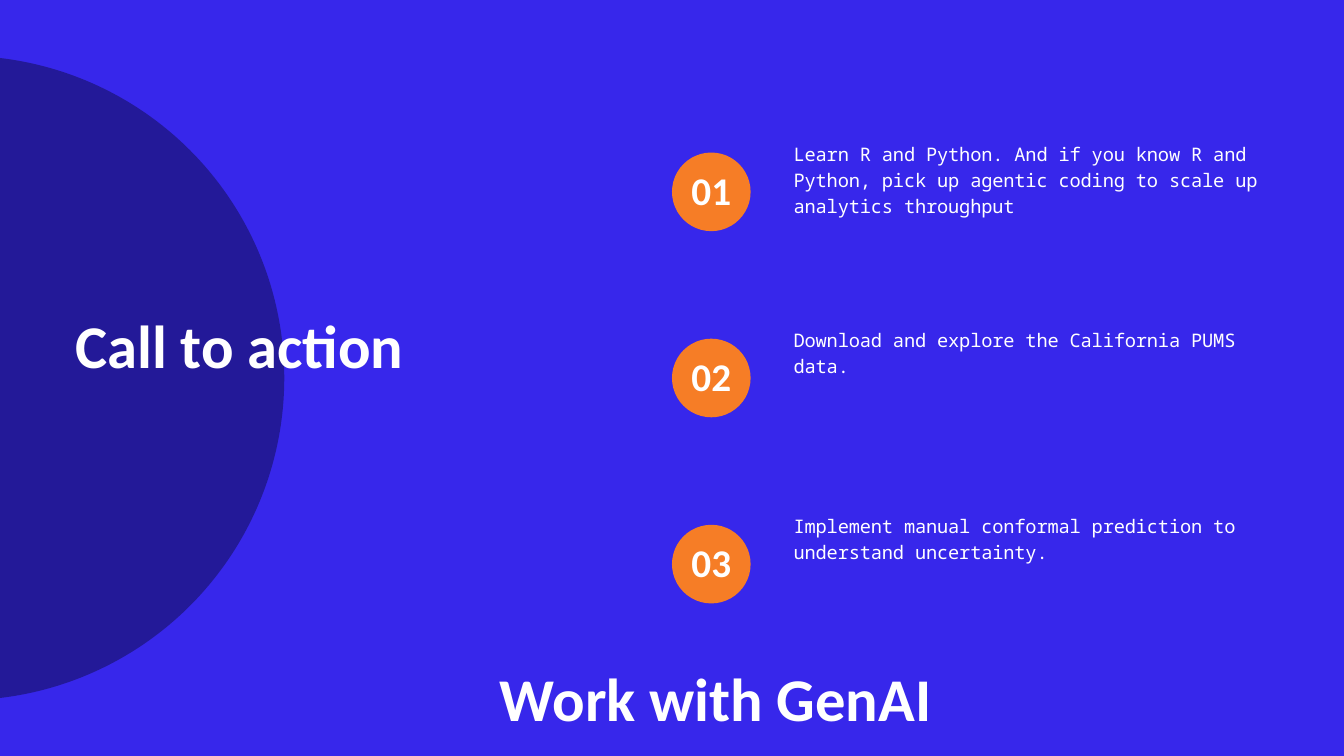
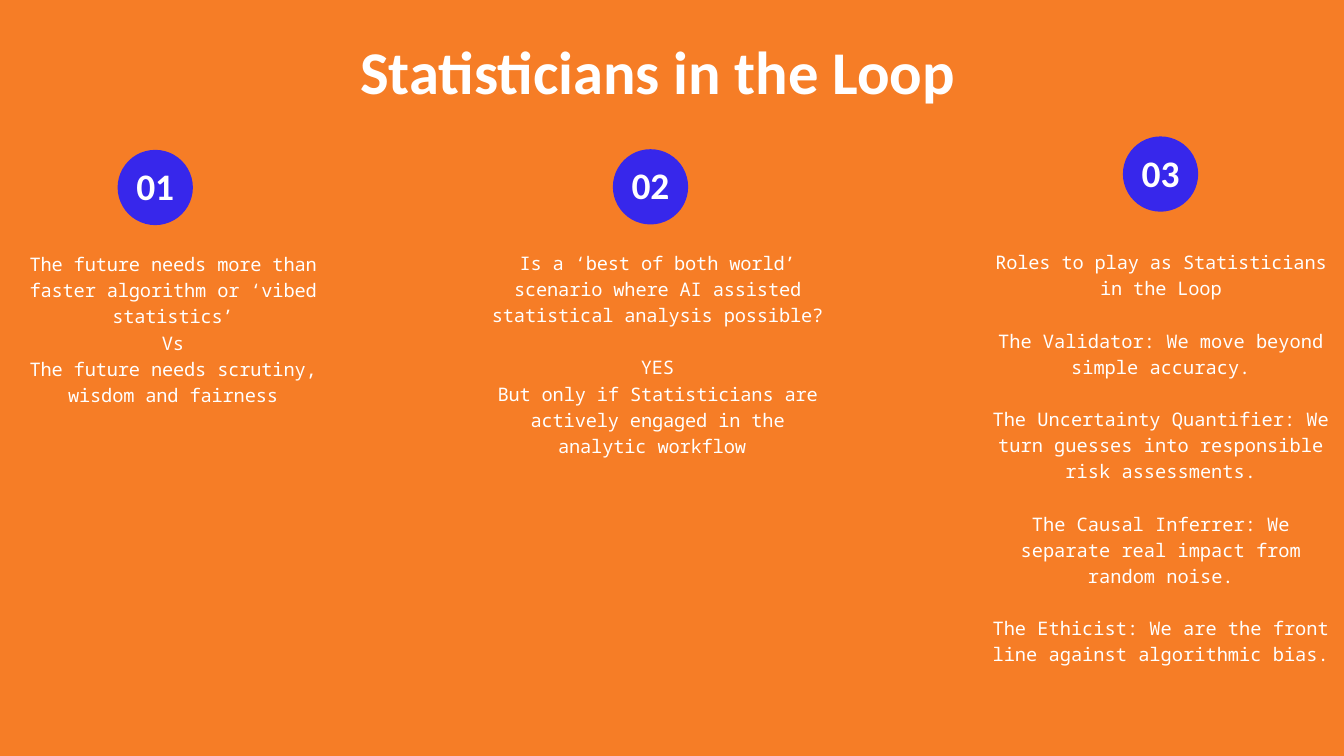
from dataclasses import dataclass
from typing import Any

import pptx
import pptx.dml.color
import pptx.enum.shapes
import pptx.enum.text
import pptx.oxml
import pptx.oxml.ns
import pptx.util

Inches = pptx.util.Inches
Pt = pptx.util.Pt
Align = pptx.enum.text.PP_ALIGN
Anchor = pptx.enum.text.MSO_ANCHOR

# Shared colours and text styles
BLUE = "3727EB"
ORANGE = "F67D26"
WHITE = "FFFFFF"
BLACK = "000000"


@dataclass(frozen=True)
class Style:
    font: str
    size: float
    line: float
    bold: bool = False


TITLE = Style("Calibri", 65, 71.5, True)
BODY = Style("Noto Sans Mono", 20, 28)


@dataclass(frozen=True)
class Para:
    text: str
    gap: float = 0
    tracking: float = -0.2


@dataclass(frozen=True)
class Column:
    number: str
    left: float
    top: float
    height: float
    badge_left: float
    badge_top: float
    paras: tuple[Para, ...]


ACTIONS = (
    "Learn R and Python. And if you know R and Python, "
    "pick up agentic coding to scale up analytics throughput",
    "Download and explore the California PUMS data.",
    "Implement manual conformal prediction to understand uncertainty.",
)

COLUMNS = (
    Column("01", 0, 3.71, 2.72, 1.75, 2.23, (
        Para("The future needs more than faster algorithm or ‘vibed statistics’"),
        Para("Vs"),
        Para("The future needs scrutiny, wisdom and fairness"),
    )),
    Column("02", 7.21, 3.69, 3.11, 9.12, 2.22, (
        Para("Is a ‘best of both world’ scenario where AI assisted "
             "statistical analysis possible?"),
        Para("YES", gap=28),
        Para("But only if Statisticians are actively engaged in the "
             "analytic workflow "),
    )),
    Column("03", 14.7, 3.68, 6.25, 16.71, 2.03, (
        Para("Roles to play as Statisticians in the Loop"),
        Para("The Validator: We move beyond simple accuracy.", 28, 0),
        Para("The Uncertainty Quantifier: We turn guesses into "
             "responsible risk assessments.", 28, 0),
        Para("The Causal Inferrer: We separate real impact from "
             "random noise.", 28, 0),
        Para("The Ethicist: We are the front line against "
             "algorithmic bias.", 28, 0),
    )),
)


def rgb(value: str) -> pptx.dml.color.RGBColor:
    return pptx.dml.color.RGBColor.from_string(value)


def place(shape: Any, left: float, top: float, width: float, height: float) -> None:
    shape.left, shape.top = Inches(left), Inches(top)
    shape.width, shape.height = Inches(width), Inches(height)


def write(shape: Any, paras: tuple[Para, ...], style: Style,
          align: Any = Align.LEFT, anchor: Any = Anchor.TOP) -> None:
    """Fill a shape with white text in one style."""
    tf = shape.text_frame
    tf.margin_left = tf.margin_right = tf.margin_top = tf.margin_bottom = 0
    tf.auto_size = pptx.enum.text.MSO_AUTO_SIZE.NONE
    tf.word_wrap = True
    tf.vertical_anchor = anchor
    tf.text = "\n".join(para.text for para in paras)
    for p, para in zip(tf.paragraphs, paras):
        p.alignment = align
        p.line_spacing = Pt(style.line)
        p.space_before = Pt(para.gap)
        r = p.runs[0]
        r.font.name = style.font
        r.font.size = Pt(style.size)
        r.font.bold = style.bold
        r.font.color.rgb = rgb(WHITE)
        if para.tracking:
            r.font._element.set("spc", str(round(para.tracking * 100)))


def add_text(s: Any, box: tuple[float, float, float, float],
             paras: tuple[Para, ...], style: Style, align: Any = Align.LEFT) -> None:
    tb = s.shapes.add_textbox(0, 0, 0, 0)
    place(tb, *box)
    write(tb, paras, style, align)


def add_circle(s: Any, left: float, top: float, size: float, color: str) -> Any:
    sp = s.shapes.add_shape(pptx.enum.shapes.MSO_SHAPE.OVAL, Inches(left),
                            Inches(top), Inches(size), Inches(size))
    sp.shadow.inherit = False
    sp.fill.solid()
    sp.fill.fore_color.rgb = rgb(color)
    sp.line.fill.background()
    return sp


def add_badge(s: Any, number: str, left: float, top: float, size: float,
              color: str, style: Style) -> None:
    sp = add_circle(s, left, top, size, color)
    write(sp, (Para(number, tracking=0),), style, Align.CENTER, Anchor.MIDDLE)


def add_slide(prs: Any, background: str, title: str,
              box: tuple[float, float, float, float], align: Any) -> Any:
    s = prs.slides.add_slide(prs.slide_layouts[5])
    s.background.fill.solid()
    s.background.fill.fore_color.rgb = rgb(background)
    place(s.shapes.title, *box)
    write(s.shapes.title, (Para(title, tracking=0),), TITLE, align)
    return s


def build_call_to_action(prs: Any) -> None:
    s = add_slide(prs, BLUE, "Call to action", (1.12, 4.67, 7.46, 1), Align.LEFT)

    # Translucent half circle behind the title
    disc = add_circle(s, -5.36, 0.83, 9.59, BLACK)
    color = disc._element.spPr.find(".//" + pptx.oxml.ns.qn("a:srgbClr"))
    color.append(pptx.oxml.parse_xml(
        f'<a:alpha {pptx.oxml.ns.nsdecls("a")} val="35000"/>'))
    s.shapes.title._element.addprevious(disc._element)

    # Numbered actions at an equal pitch
    number_style = Style("Calibri", 42, 46.1, True)
    for i, action in enumerate(ACTIONS):
        top = 2.07 + 2.77 * i
        add_badge(s, f"{i + 1:02}", 10, top + 0.2, 1.17, ORANGE, number_style)
        add_text(s, (11.81, top, 7.07, 1.15), (Para(action),), BODY)

    # Closing line
    add_text(s, (7.44, 9.92, 7.46, 1),
             (Para("Work with GenAI", tracking=0),), TITLE)


def build_statisticians(prs: Any) -> None:
    s = add_slide(prs, ORANGE, "Statisticians in the Loop",
                  (2.31, 0.59, 14.96, 1.01), Align.CENTER)

    # Three numbered columns
    number_style = Style("Calibri", 40.1, 44.1, True)
    for col in COLUMNS:
        add_badge(s, col.number, col.badge_left, col.badge_top, 1.12, BLUE,
                  number_style)
        add_text(s, (col.left, col.top, 5.15, col.height), col.paras, BODY,
                 Align.CENTER)


def main() -> None:
    prs = pptx.Presentation()
    prs.slide_width, prs.slide_height = Inches(20), Inches(11.25)
    build_call_to_action(prs)
    build_statisticians(prs)
    prs.save("out.pptx")


if __name__ == "__main__":
    main()
